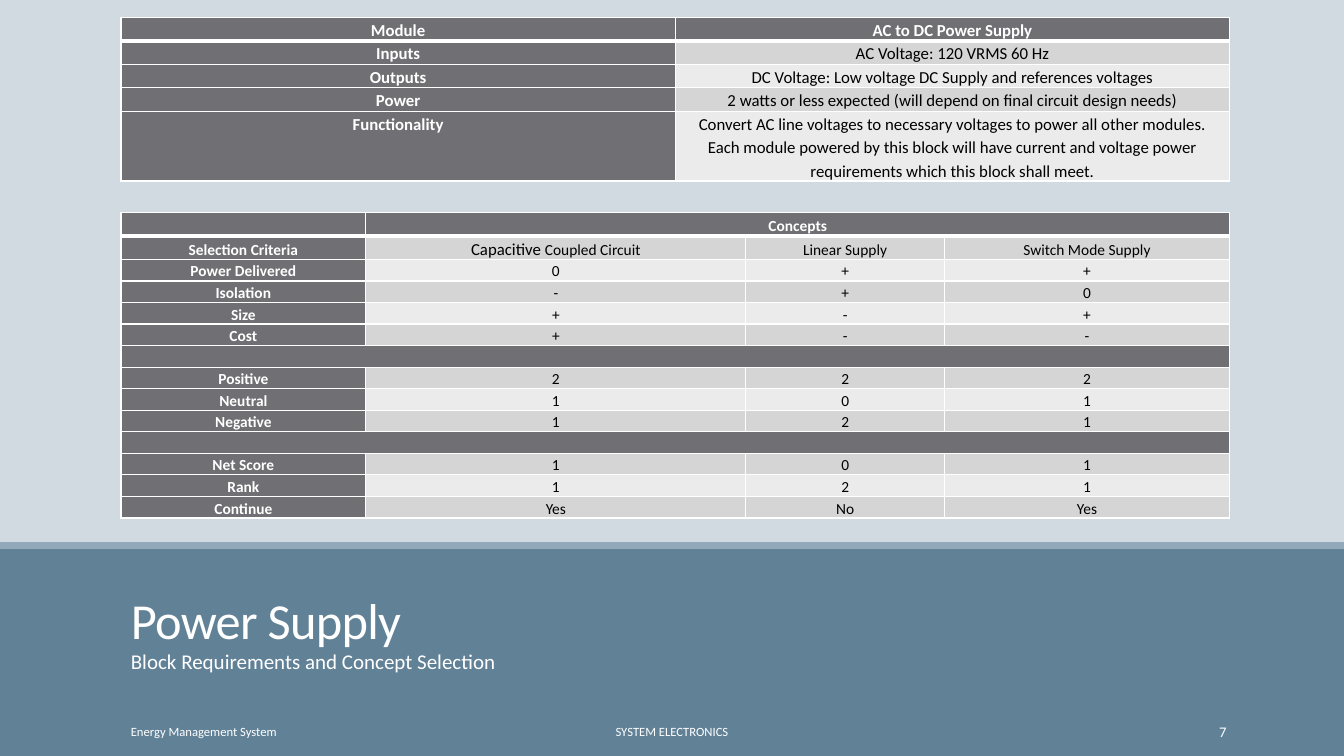
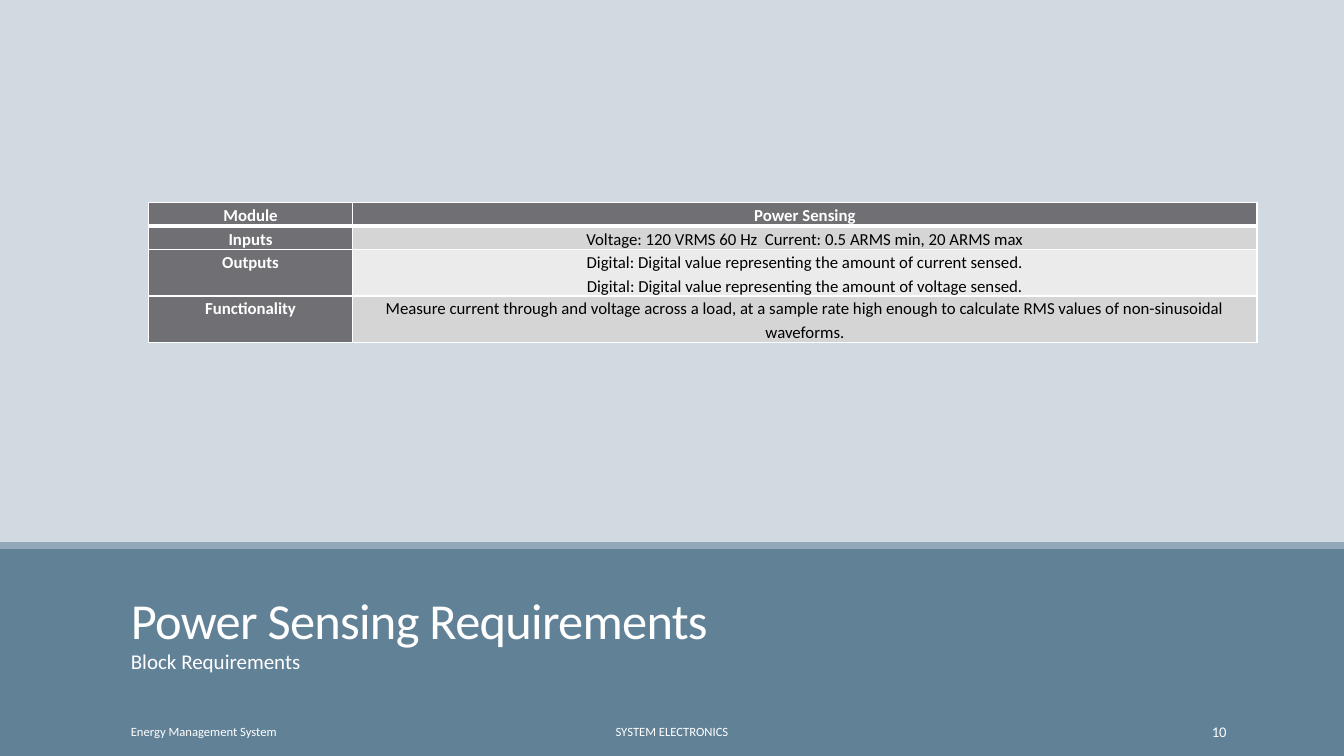
import lxml.etree
import pptx
import pptx.dml.color
import pptx.enum.shapes
import pptx.enum.text
import pptx.oxml.ns
import pptx.util

Pt = pptx.util.Pt
Align = pptx.enum.text.PP_ALIGN
Anchor = pptx.enum.text.MSO_ANCHOR
qn = pptx.oxml.ns.qn

MODULE_ROWS = [
    ["Module", "AC to DC Power Supply"],
    ["Inputs", "AC Voltage: 120 VRMS 60 Hz"],
    ["Outputs", "DC Voltage: Low voltage DC Supply and references voltages"],
    ["Power", "2 watts or less expected (will depend on final circuit design needs)"],
    ["Functionality",
     "Convert AC line voltages to necessary voltages to power all other modules. "
     "Each module powered by this block will have current and voltage power "
     "requirements which this block shall meet."],
]
CONCEPT_ROWS = [
    ["", "Concepts", "", ""],
    ["Selection Criteria", "Capacitive ", "Linear Supply", "Switch Mode Supply"],
    ["Power Delivered", "0", "+", "+"],
    ["Isolation", "-", "+", "0"],
    ["Size", "+", "-", "+"],
    ["Cost", "+", "-", "-"],
    [""] * 4,
    ["Positive", "2", "2", "2"],
    ["Neutral", "1", "0", "1"],
    ["Negative", "1", "2", "1"],
    [""] * 4,
    ["Net Score", "1", "0", "1"],
    ["Rank", "1", "2", "1"],
    ["Continue", "Yes", "No", "Yes"],
]
SENSING_ROWS = [
    ["Module", "Power Sensing"],
    ["Inputs", "Voltage: 120 VRMS 60 Hz  Current: 0.5 ARMS min, 20 ARMS max"],
    ["Outputs",
     "Digital: Digital value representing the amount of current sensed.\n"
     "Digital: Digital value representing the amount of voltage sensed."],
    ["Functionality",
     "Measure current through and voltage across a load, at a sample rate high "
     "enough to calculate RMS values of non-sinusoidal waveforms."],
]


def color(code):
    return pptx.dml.color.RGBColor.from_string(code)


class Designer:
    """Holds the style and the current slide; lengths are percents of the slide."""

    FONT = "Calibri"
    BACKGROUND, BAND, STRIP = "D1D9E1", "618197", "92A9B9"
    WHITE, BLACK = "FFFFFF", "000000"
    HEAD_FILL, ROW_FILLS = "6F6F74", ("EBEBEB", "D5D5D6")
    LEFT, WIDTH, TABLE_WIDTH = 9, 83, 82.5
    HEAD_SIZE = 12
    LINE_FACTOR = 1.4

    def __init__(self):
        self.deck = pptx.Presentation()
        self.deck.slide_width = pptx.util.Inches(13.33)
        self.deck.slide_height = pptx.util.Inches(7.5)
        self.page = None

    def frame(self, left, top, width, height):
        across, down = self.deck.slide_width / 100, self.deck.slide_height / 100
        return [round(n) for n in
                (left * across, top * down, width * across, height * down)]

    def style(self, span, size, code, bold=False):
        span.font.name = self.FONT
        span.font.size = Pt(size)
        span.font.bold = bold
        span.font.color.rgb = color(code)

    def add_page(self, title, subtitle, number):
        self.page = self.deck.slides.add_slide(self.deck.slide_layouts[6])
        fill = self.page.background.fill
        fill.solid()
        fill.fore_color.rgb = color(self.BACKGROUND)
        self.band(72.27, 27.73, self.BAND)
        self.band(71.7, 0.9, self.STRIP)

        heading = self.text(title, self.LEFT, 74, self.WIDTH, 12, 36, Anchor.BOTTOM, inset=0)
        heading.line_spacing = 0.85
        heading.runs[0].font._element.set("spc", "-50")
        summary = self.text(subtitle, self.LEFT, 86.13, self.WIDTH, 8.67, 15, Anchor.TOP, inset=0)
        summary.line_spacing = 0.9
        summary.space_after = Pt(6)

        footers = [("Energy Management System", self.LEFT, 20.25, 9, Align.LEFT),
                   ("SYSTEM ELECTRONICS", 30.23, 39.53, 9, Align.CENTER),
                   (number, 81.25, 10.75, 10.5, Align.RIGHT)]
        for words, left, width, size, align in footers:
            self.text(words, left, 94.13, width, 5.33, size, Anchor.MIDDLE).alignment = align

    def band(self, top, height, code):
        shape = self.page.shapes.add_shape(
            pptx.enum.shapes.MSO_SHAPE.RECTANGLE, *self.frame(0, top, 100, height))
        shape.shadow.inherit = False
        shape.fill.solid()
        shape.fill.fore_color.rgb = color(code)
        shape.line.fill.background()

    def text(self, words, left, top, width, height, size, anchor, inset=3.6):
        """Add a one-paragraph text box and return its paragraph."""
        box = self.page.shapes.add_textbox(*self.frame(left, top, width, height))
        body = box.text_frame
        body.word_wrap = True
        body.vertical_anchor = anchor
        body.margin_top = body.margin_bottom = Pt(inset)
        para = body.paragraphs[0]
        para.text = words
        self.style(para.runs[0], size, self.WHITE)
        return para

    def table(self, rows, left, top, weights, size, anchor=Anchor.TOP):
        """Add a table whose first row and column are headings; rows grow to fit."""
        line = Pt(size * self.LINE_FACTOR)
        place = self.frame(left, top, self.TABLE_WIDTH, 0)
        place[3] = line * len(rows)
        table = self.page.shapes.add_table(len(rows), len(weights), *place).table
        table.horz_banding = False
        for column, weight in zip(table.columns, weights):
            column.width = round(place[2] * weight / sum(weights))
        for r, words in enumerate(rows):
            table.rows[r].height = line if r else Pt(self.HEAD_SIZE * self.LINE_FACTOR)
            for c, word in enumerate(words):
                is_head = r == 0 or c == 0 or not any(words)
                cell = table.cell(r, c)
                self.borders(cell, r)
                self.cell(cell, word, size, anchor, is_head,
                          self.HEAD_FILL if is_head else self.ROW_FILLS[r % 2])
        return table

    def cell(self, cell, words, size, anchor, is_head, fill):
        cell.fill.solid()
        cell.fill.fore_color.rgb = color(fill)
        cell.vertical_anchor = anchor
        cell.margin_left = cell.margin_right = Pt(5)
        cell.margin_top = cell.margin_bottom = 0
        cell.text_frame.text = words
        for para in cell.text_frame.paragraphs:
            para.alignment = Align.CENTER
            para.line_spacing = 1.15
            for span in para.runs:
                self.style(span, size, self.WHITE if is_head else self.BLACK, is_head)
            if not words:
                lxml.etree.SubElement(para._p, qn("a:endParaRPr"), sz=str(size * 100))

    def borders(self, cell, row):
        """Draw white cell borders, with a thick rule below the first row."""
        thick_side = {0: "B", 1: "T"}.get(row)
        for side in "LRTB":
            width = Pt(3 if side == thick_side else 1)
            edge = lxml.etree.SubElement(
                cell._tc.get_or_add_tcPr(), qn("a:ln" + side), w=str(width))
            fill = lxml.etree.SubElement(edge, qn("a:solidFill"))
            lxml.etree.SubElement(fill, qn("a:srgbClr"), val=self.WHITE)


def main():
    design = Designer()

    design.add_page("Power Supply", "Block Requirements and Concept Selection", "7")
    design.table(MODULE_ROWS, design.LEFT, 2.3, [1, 1], 12)
    concepts = design.table(CONCEPT_ROWS, design.LEFT, 28.13,
                            [2.43, 3.77, 1.97, 2.83], 11, Anchor.BOTTOM)
    concepts.cell(0, 1).merge(concepts.cell(0, 3))
    for divider in (6, 10):
        concepts.cell(divider, 0).merge(concepts.cell(divider, 3))
    capacitive = concepts.cell(1, 1).text_frame.paragraphs[0]
    capacitive.runs[0].font.size = Pt(12)
    span = capacitive.add_run()
    span.text = "Coupled Circuit"
    design.style(span, 11, design.BLACK)

    design.add_page("Power Sensing Requirements", "Block Requirements", "10")
    design.table(SENSING_ROWS, 11.03, 26.8, [2.03, 8.97], 12)

    design.deck.save("out.pptx")


if __name__ == "__main__":
    main()
